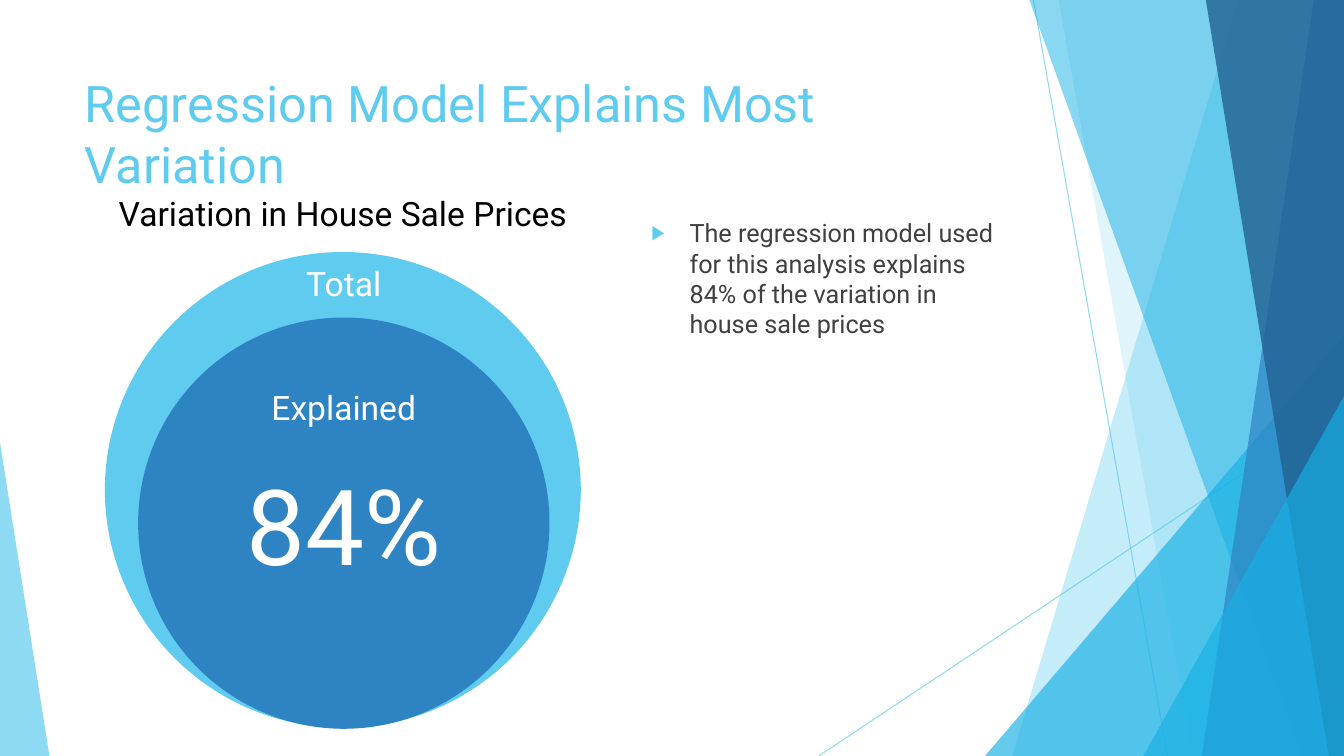
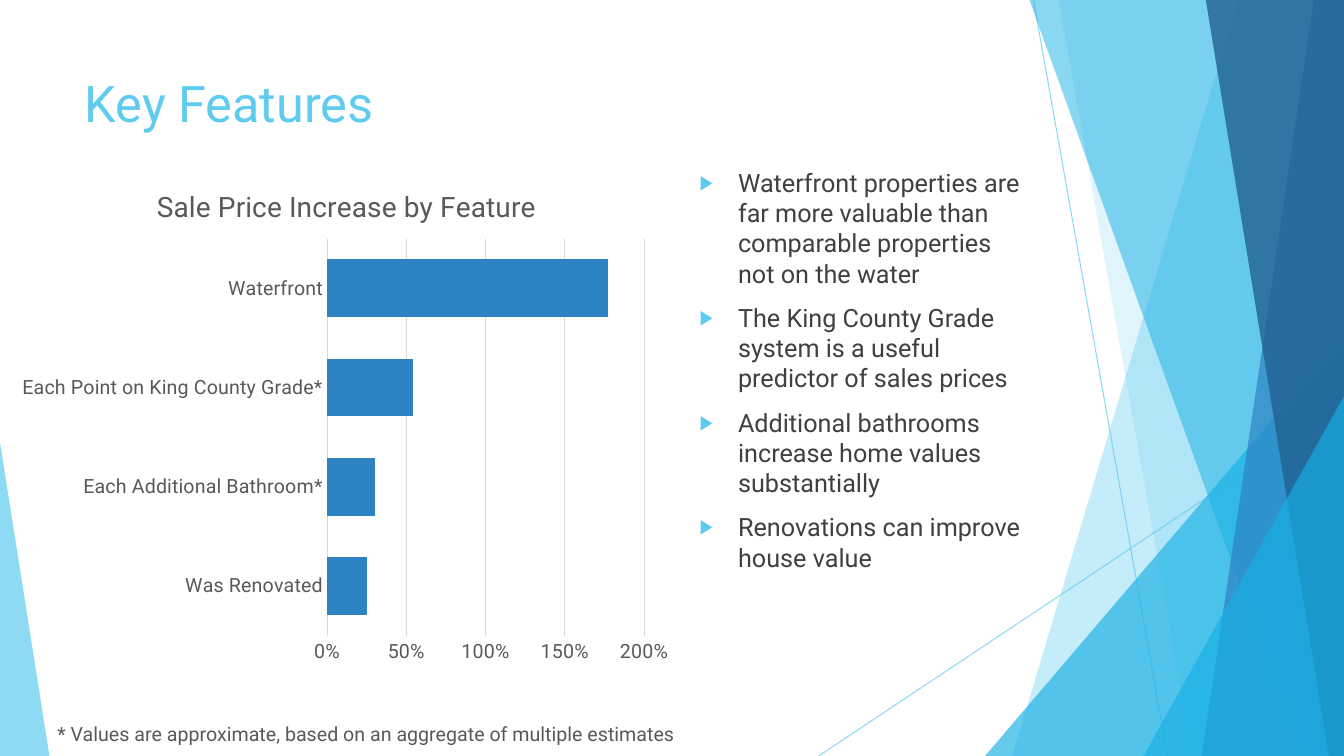
from dataclasses import dataclass

from lxml.etree import SubElement
from pptx import Presentation
from pptx.chart.data import CategoryChartData
from pptx.dml.color import RGBColor
from pptx.enum.chart import XL_CHART_TYPE as ChartType, XL_TICK_MARK as TickMark
from pptx.enum.shapes import MSO_CONNECTOR as Connector, MSO_SHAPE as Shape
from pptx.enum.text import MSO_ANCHOR as Anchor, MSO_AUTO_SIZE as AutoSize, PP_ALIGN as Align
from pptx.oxml import parse_xml
from pptx.oxml.ns import nsdecls, qn
from pptx.util import Inches, Pt


@dataclass(frozen=True)
class Theme:
    font: str = "Roboto"
    sky: str = "5FCBEF"
    cyan: str = "17B0E4"
    blue: str = "2E83C3"
    navy: str = "226292"
    body: str = "404040"
    muted: str = "595959"
    grid: str = "D9D9D9"
    black: str = "000000"
    white: str = "FFFFFF"
    title_size: int = 36
    label_size: int = 24
    chart_title_size: int = 20
    body_size: int = 18
    note_size: int = 14
    figure_size: int = 75


THEME = Theme()
WIDTH, HEIGHT = 13.33, 7.5

# Background, back to front
LINES = [(10.25, 0, 11.58, HEIGHT), (WIDTH, 4.03, 8.12, HEIGHT)]
# band: top-left x, bottom-left x; triangle: left, top, width, apex position
BACKDROP = [
    ("band", (12.28, 10.04), THEME.sky, 36),
    ("band", (10.5, 11.83), THEME.sky, 20),
    ("triangle", (9.77, 3.33, 3.56, 1), THEME.cyan, 66),
    ("band", (10.21, 12.91), THEME.cyan, 50),
    ("band", (13.03, 11.92), THEME.blue, 70),
    ("band", (11.96, 13.18), THEME.navy, 80),
    ("triangle", (11.34, 3.93, 1.99, 1), THEME.cyan, 66),
    ("triangle", (0, 4.39, 0.49, 0), THEME.sky, 70),
]


# Formatting
def rgb(value):
    return RGBColor.from_string(value)


def style_font(font, size, color):
    font.name = THEME.font
    font.size = Pt(size)
    font.color.rgb = rgb(color)


def write(para, text, size, color, align=Align.LEFT):
    para.alignment = align
    span = para.add_run()
    span.text = text
    style_font(span.font, size, color)


def set_opacity(shape, percent):
    for color in shape.element.xpath("./p:spPr//a:srgbClr"):
        SubElement(color, qn("a:alpha")).set("val", str(percent * 1000))


def style_shape(shape, color):
    shape.shadow.inherit = False
    shape.fill.solid()
    shape.fill.fore_color.rgb = rgb(color)
    shape.line.fill.background()


def place(shape, left, top, width, height):
    shape.left, shape.top = Inches(left), Inches(top)
    shape.width, shape.height = Inches(width), Inches(height)


def add_bullet(para):
    para.space_before = Pt(10)
    props = para._p.get_or_add_pPr()
    indent = Inches(0.38)
    props.set("marL", str(indent))
    props.set("indent", str(-indent))
    color = SubElement(props, qn("a:buClr"))
    SubElement(color, qn("a:srgbClr")).set("val", THEME.sky)
    SubElement(props, qn("a:buSzPct")).set("val", "80000")
    SubElement(props, qn("a:buChar")).set("char", "▶")


# Background shapes
def add_line(page, start_x, start_y, end_x, end_y):
    line = page.shapes.add_connector(
        Connector.STRAIGHT, Inches(start_x), Inches(start_y), Inches(end_x), Inches(end_y))
    line.line.width = Pt(0.75)
    line.line.color.rgb = rgb(THEME.sky)
    set_opacity(line, 70)
    SubElement(line.element.spPr, qn("a:effectLst"))
    return line


def add_band(page, top_x, bottom_x):
    outline = page.shapes.build_freeform(Inches(top_x), 0)
    corners = [(WIDTH, 0), (WIDTH, HEIGHT), (bottom_x, HEIGHT)]
    outline.add_line_segments([(Inches(x), Inches(y)) for x, y in corners])
    return outline.convert_to_shape()


def add_triangle(page, left, top, width, apex):
    triangle = page.shapes.add_shape(
        Shape.ISOSCELES_TRIANGLE, Inches(left), Inches(top), Inches(width), Inches(HEIGHT - top))
    triangle.adjustments[0] = apex
    return triangle


def move_to_layout(shapes, layout):
    """Put finished shapes behind the layout's placeholders."""
    tree = layout.element.cSld.spTree
    for number, shape in enumerate(shapes):
        shape.element.xpath(".//p:cNvPr")[0].set("id", str(100 + number))
        tree.insert(2 + number, shape.element)


def decorate_layout(layout, page):
    builders = {"band": add_band, "triangle": add_triangle}
    shapes = [add_line(page, *ends) for ends in LINES]
    for kind, geometry, color, opacity in BACKDROP:
        shape = builders[kind](page, *geometry)
        style_shape(shape, color)
        set_opacity(shape, opacity)
        shapes.append(shape)
    move_to_layout(shapes, layout)
    title = layout.placeholders[0]
    place(title, 0.74, 0.67, 9.4, 1.44)
    title.text_frame.vertical_anchor = Anchor.TOP


# Content
def fill_title(page, text):
    frame = page.shapes.title.text_frame
    frame.auto_size = AutoSize.NONE
    write(frame.paragraphs[0], text, THEME.title_size, THEME.sky)


def fill_list(page, items, *bounds):
    body = page.placeholders[1]
    place(body, *bounds)
    frame = body.text_frame
    frame.auto_size = AutoSize.NONE
    for number, item in enumerate(items):
        para = frame.add_paragraph() if number else frame.paragraphs[0]
        write(para, item, THEME.body_size, THEME.body)
        add_bullet(para)


def add_label(page, text, left, top, width, height, **text_format):
    box = page.shapes.add_textbox(Inches(left), Inches(top), Inches(width), Inches(height))
    box.text_frame.word_wrap = True
    box.text_frame.auto_size = AutoSize.SHAPE_TO_FIT_TEXT
    write(box.text_frame.paragraphs[0], text, **text_format)


def add_circle(page, left, top, diameter, color):
    circle = page.shapes.add_shape(
        Shape.OVAL, Inches(left), Inches(top), Inches(diameter), Inches(diameter))
    style_shape(circle, color)
    return circle


def set_chart_layout(parent, index, target="", **fractions):
    """Fix a chart part's place, in fractions of the chart's size."""
    for layout in parent.findall(qn("c:layout")):
        parent.remove(layout)
    parts = f'<c:layoutTarget val="{target}"/>' if target else ""
    parts += '<c:xMode val="edge"/><c:yMode val="edge"/>'
    parts += "".join(f'<c:{key} val="{value}"/>' for key, value in fractions.items())
    parent.insert(index, parse_xml(
        f'<c:layout {nsdecls("c")}><c:manualLayout>{parts}</c:manualLayout></c:layout>'))


def style_axis(axis):
    axis.major_tick_mark = axis.minor_tick_mark = TickMark.NONE
    style_font(axis.tick_labels.font, THEME.note_size, THEME.muted)


def style_rule(line):
    line.width = Pt(0.75)
    line.color.rgb = rgb(THEME.grid)


def add_bar_chart(page, title, values, left, top, width, height):
    data = CategoryChartData(number_format="0%")
    data.categories = list(values)
    data.add_series("Series 1", list(values.values()))
    chart = page.shapes.add_chart(
        ChartType.BAR_CLUSTERED, Inches(left), Inches(top), Inches(width), Inches(height),
        data).chart
    chart.has_legend = False
    style_font(chart.font, THEME.note_size, THEME.black)

    # Title and plot area
    heading = chart.chart_title
    write(heading.text_frame.paragraphs[0], title, THEME.chart_title_size, THEME.muted,
          Align.CENTER)
    heading.text_frame.paragraphs[0].runs[0].font.bold = False
    set_chart_layout(heading.element, 1, x=0.21, y=0.04)
    set_chart_layout(chart.element.xpath(".//c:plotArea")[0], 0, "inner",
                     x=0.47, y=0.15, w=0.47, h=0.78)

    # Bars
    plot = chart.plots[0]
    plot.gap_width = 72
    plot.vary_by_categories = False
    fill = plot.series[0].format.fill
    fill.solid()
    fill.fore_color.rgb = rgb(THEME.blue)

    # Axes
    style_axis(chart.category_axis)
    style_rule(chart.category_axis.format.line)
    scale = chart.value_axis
    style_axis(scale)
    scale.minimum_scale, scale.maximum_scale, scale.major_unit = 0, 2, 0.5
    scale.tick_labels.number_format = "0%"
    scale.tick_labels.number_format_is_linked = False
    scale.format.line.fill.background()
    style_rule(scale.major_gridlines.format.line)


# Slides
def build_variation(page):
    fill_title(page, "Regression Model Explains Most Variation")
    fill_list(page, ["The regression model used for this analysis explains 84% of the "
                     "variation in house sale prices"], 6.36, 2.11, 3.67, 4.24)
    add_circle(page, 1.04, 2.5, 4.72, THEME.sky)
    explained = add_circle(page, 1.37, 3.15, 4.08, THEME.blue)
    explained.text_frame.vertical_anchor = Anchor.MIDDLE
    write(explained.text_frame.paragraphs[0], "84%", THEME.figure_size, THEME.white,
          Align.CENTER)
    labels = [
        ("Variation in House Sale Prices", 0.86, 1.86, 5.08, THEME.black),
        ("Total", 2.41, 2.56, 2, THEME.white),
        ("Explained", 2.41, 3.79, 2, THEME.white),
    ]
    for text, left, top, width, color in labels:
        add_label(page, text, left, top, width, 0.5, size=THEME.label_size, color=color,
                  align=Align.CENTER)


def build_features(page):
    fill_title(page, "Key Features")
    increases = {
        "Was Renovated": 0.25,
        "Each Additional Bathroom*": 0.3,
        "Each Point on King County Grade*": 0.54,
        "Waterfront": 1.77,
    }
    add_bar_chart(page, "Sale Price Increase by Feature", increases, 0.1, 1.61, 6.69, 5.05)
    add_label(page, "* Values are approximate, based on an aggregate of multiple estimates",
              0.47, 7.11, 6.69, 0.34, size=THEME.note_size, color=THEME.muted)
    fill_list(page, [
        "Waterfront properties are far more valuable than comparable properties "
        "not on the water",
        "The King County Grade system is a useful predictor of sales prices",
        "Additional bathrooms increase home values substantially",
        "Renovations can improve house value",
    ], 6.84, 1.61, 3.48, 4.98)


def main():
    deck = Presentation()
    deck.slide_width, deck.slide_height = Inches(WIDTH), Inches(HEIGHT)
    layout = deck.slide_layouts[1]
    pages = [deck.slides.add_slide(layout) for _ in range(2)]
    decorate_layout(layout, pages[0])
    build_variation(pages[0])
    build_features(pages[1])
    deck.save("out.pptx")


if __name__ == "__main__":
    main()
